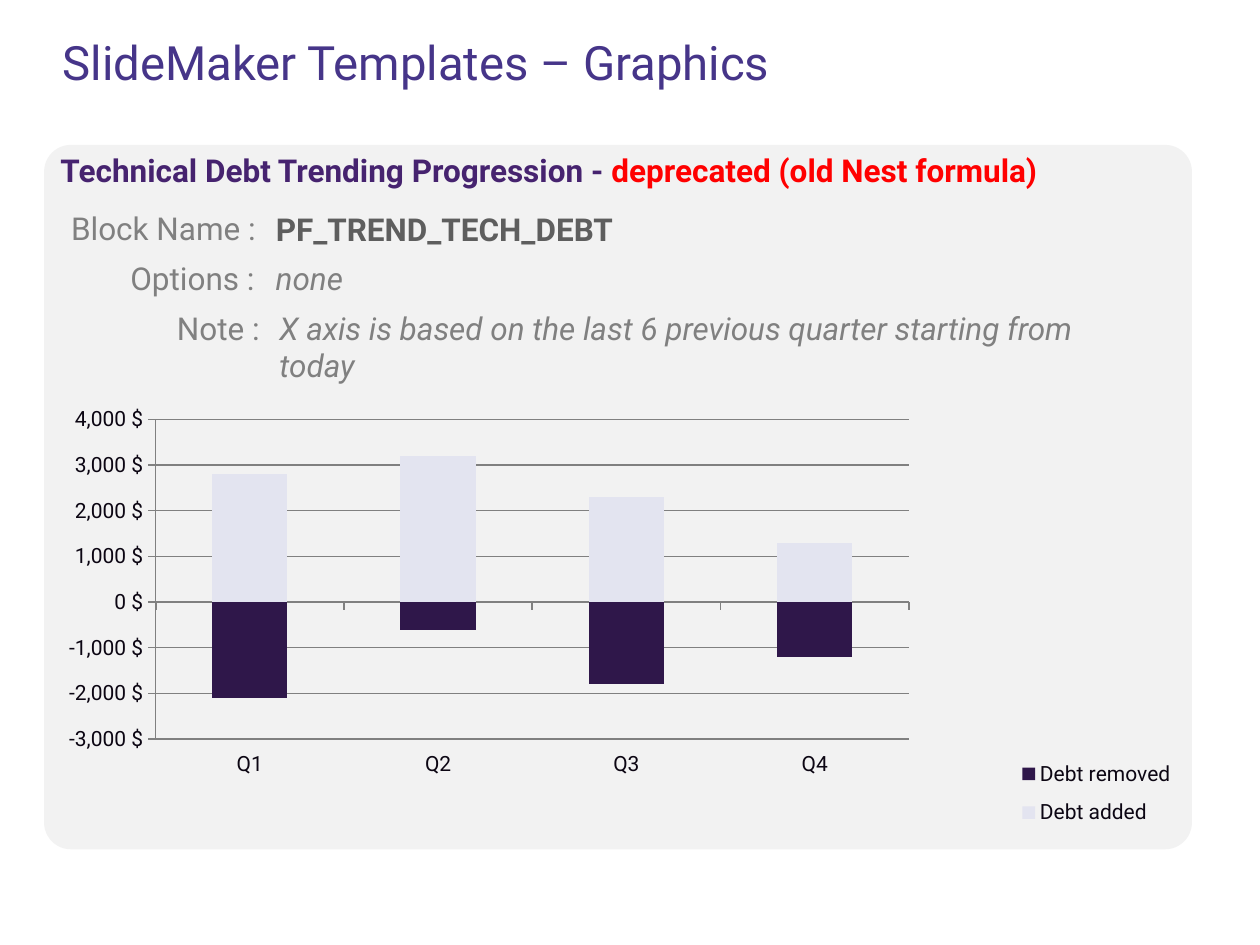
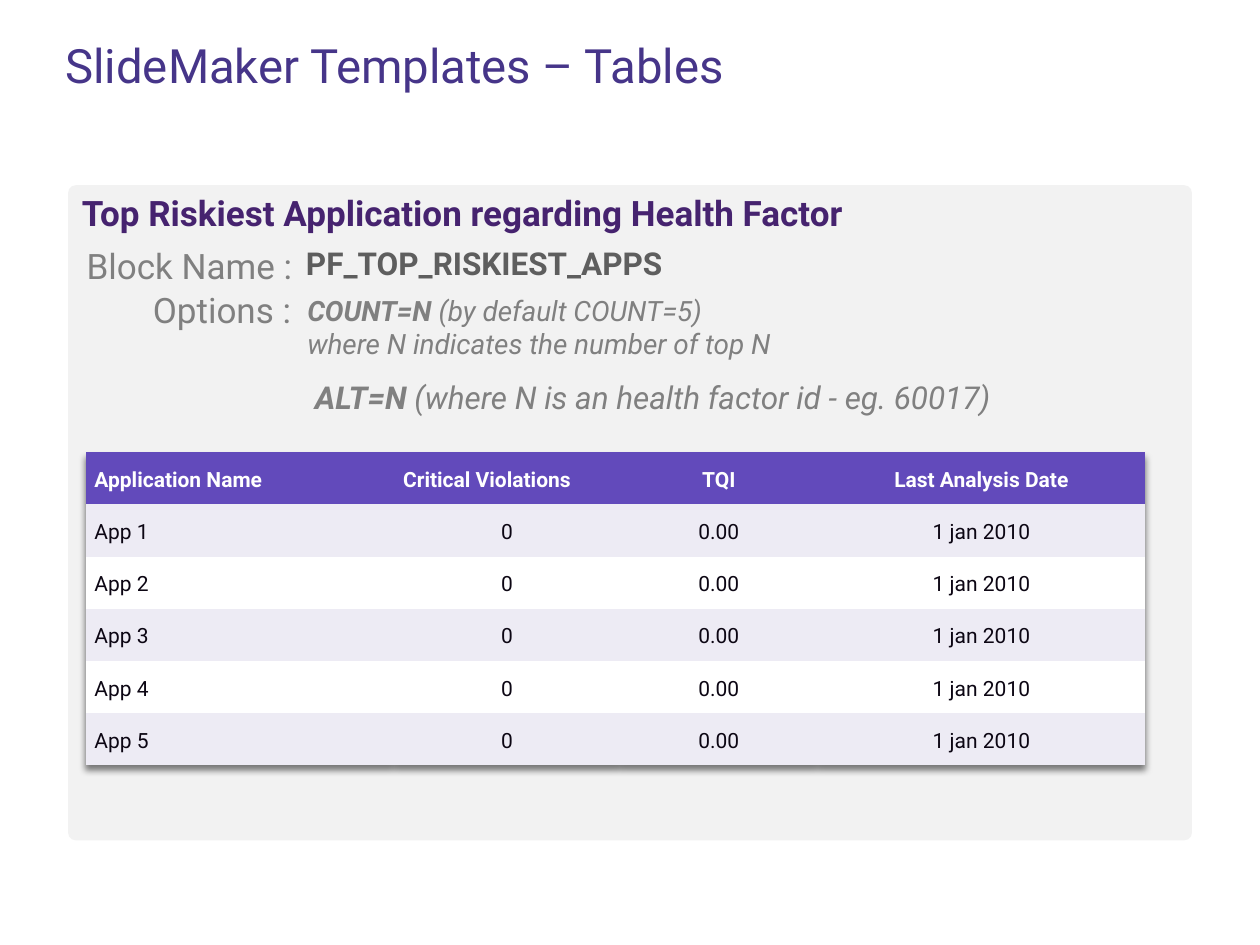
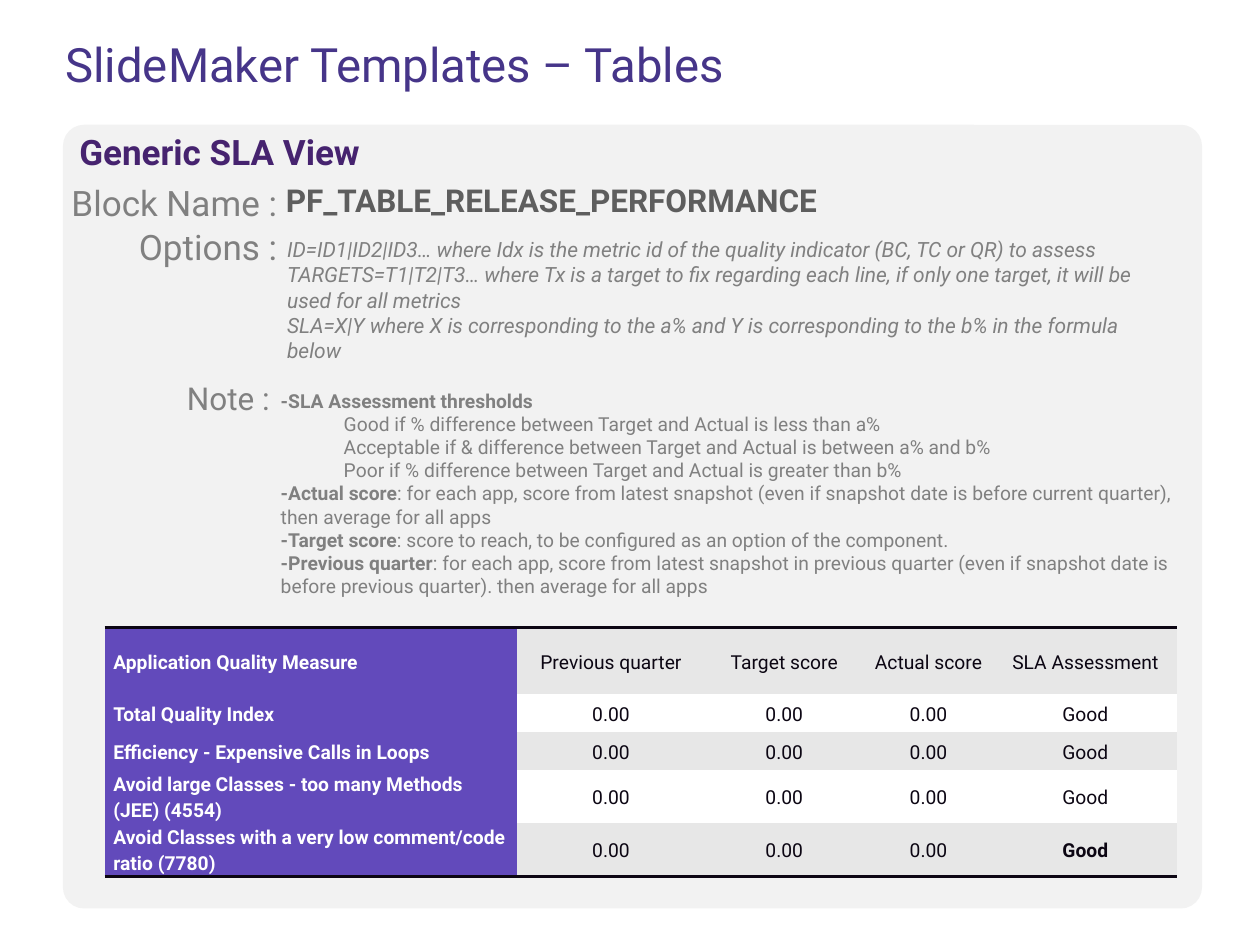
"""Build three reference slides describing report template blocks."""
from lxml import etree
from pptx import Presentation, util as u
from pptx.chart.data import CategoryChartData
from pptx.dml.color import RGBColor
from pptx.enum import chart as ch, shapes, text
from pptx.oxml import parse_xml
from pptx.oxml.ns import nsdecls, qn

FONT = "Roboto"
INDIGO = RGBColor(0x46, 0x35, 0x89)
PLUM = RGBColor(0x46, 0x23, 0x6F)
VIOLET = RGBColor(0x62, 0x4A, 0xBB)
NIGHT = RGBColor(0x2F, 0x17, 0x4A)
MIST = RGBColor(0xE3, 0xE4, 0xF0)
LAVENDER = RGBColor(0xED, 0xEB, 0xF4)
PANEL = RGBColor(0xF2, 0xF2, 0xF2)
SILVER = RGBColor(0xE7, 0xE7, 0xE7)
GREY = RGBColor(0x80, 0x80, 0x80)
SLATE = RGBColor(0x5E, 0x5E, 0x5E)
INK = RGBColor(0x0C, 0x06, 0x13)
RED = RGBColor(0xFF, 0, 0)
WHITE = RGBColor(0xFF, 0xFF, 0xFF)
NO_STYLE = "{2D5ABB26-0587-4C30-8999-92F81FD0307C}"

STYLES = {
    "title": {"color": INDIGO, "size": 27},
    "heading": {"color": PLUM, "bold": True},
    "label": {"color": GREY},
    "block": {"color": SLATE, "bold": True},
    "option": {"color": GREY, "italic": True},
    "note": {"color": GREY},
}
BOLD = {"bold": True}

DEBT_SLIDE = {
    "title": ("SlideMaker Templates – Graphics", 0.4, -0.01),
    "panel": ((0.35, 1.15, 9.11, 5.59), 0.038),
    "texts": [
        ("heading", 18, (0.28, 1.15, 8.91, 0.4),
         [["Technical Debt Trending Progression - ",
           ("deprecated (old Nest formula)", {"color": RED})]]),
        ("block", 18, (2.09, 1.62, 7.25, 0.4), ["PF_TREND_TECH_DEBT"]),
        ("label", 18, (0.43, 1.61, 1.7, 0.4), ["Block Name :"]),
        ("option", 18, (2.09, 2.01, 1.34, 0.4), ["none"]),
        ("label", 18, (0.91, 2.01, 1.21, 0.4), ["Options :"]),
        ("option", 18, (2.12, 2.4, 7.06, 0.71),
         ["X axis is based on the last 6 previous quarter starting from today"]),
        ("label", 18, (1.28, 2.4, 0.88, 0.4), ["Note :"]),
    ],
}
QUARTERS = ["Q1", "Q2", "Q3", "Q4"]
DEBT = [("Debt removed", (-2100, -600, -1800, -1200), NIGHT),
        ("Debt added", (2800, 3200, 2300, 1300), MIST)]

RISK_SLIDE = {
    "title": ("SlideMaker Templates – Tables", 0.42, 0.01),
    "panel": ((0.54, 1.47, 8.92, 5.2), 0.012),
    "texts": [
        ("heading", 20, (0.45, 1.47, 8.91, 0.44),
         ["Top Riskiest Application regarding Health Factor"]),
        ("block", 18, (2.33, 1.89, 7.25, 0.4), ["PF_TOP_RISKIEST_APPS"]),
        ("label", 20, (0.55, 1.89, 1.87, 0.44), ["Block Name :"]),
        ("option", 16, (2.34, 2.28, 7.25, 0.64),
         [[("COUNT=N", BOLD), " (by default COUNT=5)"],
          "where N indicates the number of top N"]),
        ("label", 20, (1.09, 2.24, 1.32, 0.44), ["Options :"]),
        ("option", 18, (2.4, 2.95, 6.77, 0.4),
         [[("ALT=N", BOLD), " (where N is an health factor id - eg. 60017)"]]),
    ],
}
RISKIEST_APPS = [["Application Name", "Critical Violations", "TQI", "Last Analysis Date"]]
RISKIEST_APPS += [[f"App {n}", "0", "0.00", "1 jan 2010"] for n in range(1, 6)]

SLA_SLIDE = {
    "title": ("SlideMaker Templates – Tables", 0.42, 0),
    "panel": ((0.5, 0.99, 9.04, 6.22), 0.027),
    "texts": [
        ("heading", 20, (0.43, 0.99, 8.91, 0.44), ["Generic SLA View"]),
        ("block", 18, (2.17, 1.39, 7.25, 0.4), ["PF_TABLE_RELEASE_PERFORMANCE"]),
        ("label", 20, (0.43, 1.39, 1.87, 0.44), ["Block Name :"]),
        ("option", 12, (2.18, 1.83, 7.25, 1.11),
         ["ID=ID1|ID2|ID3… where Idx is the metric id of the quality indicator (BC, TC or QR) to assess",
          "TARGETS=T1|T2|T3… where Tx is a target to fix regarding each line, if only one target, "
          "it will be used for all metrics",
          "SLA=X|Y where X is corresponding to the a% and Y is corresponding to the b% in the formula below"]),
        ("label", 20, (0.98, 1.74, 1.32, 0.44), ["Options :"]),
        ("label", 18, (1.36, 2.96, 0.88, 0.4), ["Note :"]),
        ("note", 11, (2.13, 3.04, 7.33, 1.95),
         [[("-SLA Assessment thresholds", BOLD)],
          ("Good if % difference between Target and Actual is less than a%",),
          ("Acceptable if & difference between Target and Actual is between a% and b%",),
          ("Poor if % difference between Target and Actual is greater than b%",),
          [("-Actual score", BOLD),
           ": for each app, score from latest snapshot (even if snapshot date is before current quarter),\n"
           "then average for all apps"],
          [("-Target score", BOLD), ": score to reach, to be configured as an option of the component."],
          [("-Previous quarter", BOLD),
           ": for each app, score from latest snapshot in previous quarter (even if snapshot date is\n"
           "before previous quarter). then average for all apps"]]),
    ],
}
MEASURES = ["Total Quality Index", "Efficiency - Expensive Calls in Loops",
            "Avoid large Classes - too many Methods (JEE) (4554)",
            "Avoid Classes with a very low comment/code ratio (7780)"]
SLA_ROWS = [["Application Quality Measure", "Previous quarter", "Target score",
             "Actual score", "SLA Assessment"]]
SLA_ROWS += [[measure, "0.00", "0.00", "0.00", "Good"] for measure in MEASURES]


def inches(box):
    return [u.Inches(length) for length in box]


def format_font(font, size, color, **settings):
    font.color.rgb = color
    for name, value in {"name": FONT, "size": u.Pt(size), **settings}.items():
        setattr(font, name, value)


def fill_paragraph(paragraph, runs, style):
    for item in runs:
        words, changes = (item, {}) if isinstance(item, str) else item
        for number, line in enumerate(words.split("\n")):
            if number:
                paragraph.add_line_break()
            run = paragraph.add_run()
            run.text = line
            format_font(run.font, **{**style, **changes})


def add_text(slide, kind, size, box, paragraphs):
    """Write paragraphs; a string or list is flush left, a tuple is indented."""
    frame = slide.shapes.add_textbox(*inches(box)).text_frame
    frame.word_wrap = kind != "label"
    if kind == "title":
        frame.vertical_anchor = text.MSO_ANCHOR.MIDDLE
    else:
        frame.auto_size = text.MSO_AUTO_SIZE.SHAPE_TO_FIT_TEXT
    if kind == "heading":
        frame.margin_left = frame.margin_right = u.Inches(0.2)
    for number, content in enumerate(paragraphs):
        paragraph = frame.add_paragraph() if number else frame.paragraphs[0]
        if kind == "label":
            paragraph.alignment = text.PP_ALIGN.RIGHT
        if kind == "title":
            paragraph.line_spacing = 0.9
        if isinstance(content, tuple):
            properties = paragraph._p.get_or_add_pPr()
            properties.set("marL", str(u.Inches(0.5)))
            properties.set("indent", "0")
        runs = [content] if isinstance(content, str) else content
        fill_paragraph(paragraph, runs, {**STYLES[kind], "size": size})


def add_slide(deck, content):
    slide = deck.slides.add_slide(deck.slide_layouts[6])
    title, left, top = content["title"]
    add_text(slide, "title", 27, (left, top, 9.15, 1.06), [title])
    box, rounding = content["panel"]
    panel = slide.shapes.add_shape(shapes.MSO_SHAPE.ROUNDED_RECTANGLE, *inches(box))
    panel.adjustments[0] = rounding
    panel.shadow.inherit = False
    panel.fill.solid()
    panel.fill.fore_color.rgb = PANEL
    panel.line.fill.background()
    for entry in content["texts"]:
        add_text(slide, *entry)
    return slide


def add_table(slide, box, rows, widths, heights, size, look):
    """Add a plain table; look(row, column) gives fill, colour, bold and centring."""
    table = slide.shapes.add_table(len(rows), len(widths), *inches(box)).table
    table.first_row = table.horz_banding = False
    table._tbl.tblPr.find(qn("a:tableStyleId")).text = NO_STYLE
    for column, width in zip(table.columns, widths):
        column.width = u.Inches(width)
    for row, height in zip(table.rows, heights):
        row.height = u.Inches(height)
    for r, row in enumerate(rows):
        for c, words in enumerate(row):
            fill, color, bold, centred = look(r, c)
            cell = table.cell(r, c)
            cell.fill.solid()
            cell.fill.fore_color.rgb = fill
            cell.vertical_anchor = text.MSO_ANCHOR.MIDDLE
            cell.margin_left = cell.margin_right = u.Inches(0.07)
            cell.margin_top = cell.margin_bottom = 0
            paragraph = cell.text_frame.paragraphs[0]
            paragraph.line_spacing = 1.15
            paragraph.alignment = text.PP_ALIGN.CENTER if centred else text.PP_ALIGN.LEFT
            fill_paragraph(paragraph, [words], {"size": size, "color": color, "bold": bold})
    return table


def risk_look(r, c):
    if r == 0:
        return VIOLET, WHITE, True, c > 1
    return (LAVENDER if r % 2 else WHITE), INK, False, c > 0


def sla_look(r, c):
    if c == 0:
        return VIOLET, WHITE, True, False
    final = (r, c) == (len(SLA_ROWS) - 1, len(SLA_ROWS[0]) - 1)
    return (WHITE if r % 2 else SILVER), INK, final, True


def add_shadow(table):
    table._tbl.tblPr.insert(0, parse_xml(
        f'<a:effectLst {nsdecls("a")}><a:outerShdw blurRad="50800" dist="38100" dir="5400000">'
        '<a:srgbClr val="000000"><a:alpha val="50000"/></a:srgbClr></a:outerShdw></a:effectLst>'))


def rule_off(cells, edge):
    for cell in cells:
        cell._tc.get_or_add_tcPr().insert(0, parse_xml(
            f'<a:{edge} {nsdecls("a")} w="{u.Pt(2)}"><a:solidFill>'
            f'<a:srgbClr val="{INK}"/></a:solidFill></a:{edge}>'))


def place(element, area, inner=False):
    """Give a chart part a fixed area, as fractions of the chart."""
    for old in element.findall(qn("c:layout")):
        element.remove(old)
    layout = etree.Element(qn("c:layout"))
    manual = etree.SubElement(layout, qn("c:manualLayout"))
    settings = [("layoutTarget", "inner")] if inner else []
    settings += [("xMode", "edge"), ("yMode", "edge"), *zip("xywh", area)]
    for name, value in settings:
        etree.SubElement(manual, qn(f"c:{name}")).set("val", str(value))
    element.insert(0 if inner else 1, layout)


def add_debt_chart(slide):
    data = CategoryChartData()
    data.categories = QUARTERS
    for name, values, _ in DEBT:
        data.add_series(name, values)
    chart = slide.shapes.add_chart(ch.XL_CHART_TYPE.COLUMN_CLUSTERED,
                                   *inches((0.38, 2.96, 9.3, 4.25)), data).chart
    format_font(chart.font, 12, INK)
    chart.has_title = False
    chart.has_legend = True
    chart.legend.position = ch.XL_LEGEND_POSITION.RIGHT
    chart.legend.include_in_layout = False
    plot = chart.plots[0]
    plot.gap_width, plot.overlap, plot.vary_by_categories = 150, 100, False
    for series, (_, _, color) in zip(plot.series, DEBT):
        series.invert_if_negative = False
        series.format.fill.solid()
        series.format.fill.fore_color.rgb = color
    quarters, dollars = chart.category_axis, chart.value_axis
    quarters.tick_label_position = ch.XL_TICK_LABEL_POSITION.LOW
    quarters.major_tick_mark = ch.XL_TICK_MARK.OUTSIDE
    scale = {"minimum_scale": -3000, "maximum_scale": 4000, "major_unit": 1000,
             "major_tick_mark": ch.XL_TICK_MARK.CROSS, "has_major_gridlines": True}
    for name, value in scale.items():
        setattr(dollars, name, value)
    dollars.tick_labels.number_format = '#,##0\\ "$"'
    dollars.tick_labels.number_format_is_linked = False
    for part, width in ((quarters, 1), (dollars, 0.75), (dollars.major_gridlines, 0.75)):
        part.format.line.color.rgb = GREY
        part.format.line.width = u.Pt(width)
    place(chart._chartSpace.chart.plotArea, (0.092, 0.087, 0.643, 0.597), inner=True)
    place(chart.legend._element, (0.81, 0.7, 0.17, 0.17))


def main():
    deck = Presentation()
    deck.slide_width, deck.slide_height = inches((10, 7.5))
    add_debt_chart(add_slide(deck, DEBT_SLIDE))
    risks = add_table(add_slide(deck, RISK_SLIDE), (0.68, 3.59, 8.42, 2.49), RISKIEST_APPS,
                      (2.45, 1.79, 1.57, 2.6), [0.414] * len(RISKIEST_APPS), 12, risk_look)
    add_shadow(risks)
    sla = add_table(add_slide(deck, SLA_SLIDE), (0.83, 4.98, 8.51, 1.95), SLA_ROWS,
                    (3.27, 1.5, 1.25, 1.04, 1.45), [0.53] + [0.3] * len(MEASURES), 11, sla_look)
    last = len(SLA_ROWS) - 1
    rule_off(sla.rows[0].cells, "lnT")
    rule_off(sla.rows[last].cells, "lnB")
    deck.save("out.pptx")


if __name__ == "__main__":
    main()
